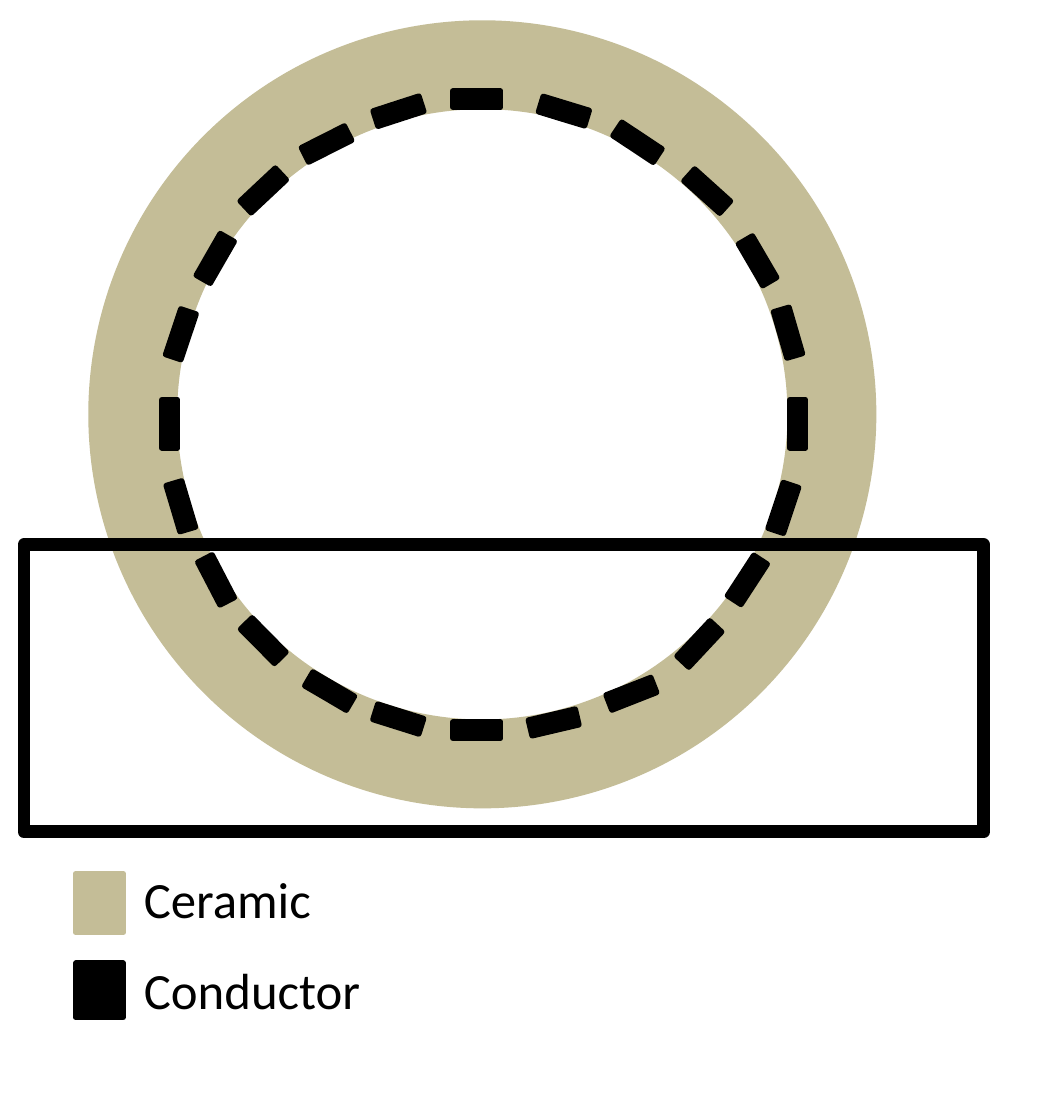
from pptx import Presentation
from pptx.dml.color import RGBColor
from pptx.enum.shapes import MSO_SHAPE as SHAPE
from pptx.enum.text import MSO_AUTO_SIZE as AUTO
from pptx.util import Cm, Pt

CERAMIC = "C4BD97"
CONDUCTOR = "000000"
BAR_W, BAR_H = 0.6, 0.2

# centre x, centre y, rotation
BARS = [
    (5.96, 1.24, 0), (7.05, 1.39, 17), (7.97, 1.78, 33.5),
    (8.84, 2.39, 42), (9.47, 3.26, 59.7), (9.85, 4.16, 73.8),
    (9.97, 5.3, 90), (9.79, 6.35, 108.4), (9.34, 7.25, 123.1),
    (8.74, 8.05, 133), (7.89, 8.67, 158.6), (6.92, 9.03, 166.8),
    (5.96, 9.13, 0), (4.98, 8.99, 17.5), (4.12, 8.64, 30.4),
    (3.29, 8.01, 45.4), (2.7, 7.25, 62.6), (2.26, 6.33, 73.4),
    (2.12, 5.3, 90), (2.26, 4.18, 108.5), (2.69, 3.23, 119.9),
    (3.29, 2.38, 136.8), (4.08, 1.8, 153.2), (4.98, 1.39, 162),
]


def color(value):
    return RGBColor.from_string(value)


def add_outline(s, kind, x, y, w, h, line, width, fill=None):
    sp = s.shapes.add_shape(kind, Cm(x), Cm(y), Cm(w), Cm(h))
    sp.shadow.inherit = False
    if fill:
        sp.fill.solid()
        sp.fill.fore_color.rgb = color(fill)
    else:
        sp.fill.background()
    sp.line.color.rgb = color(line)
    sp.line.width = Pt(width)
    return sp


def add_block(s, x, y, w, h, fill):
    return add_outline(s, SHAPE.RECTANGLE, x, y, w, h, fill, 2, fill)


def add_bar(s, cx, cy, angle):
    sp = add_block(s, cx - BAR_W / 2, cy - BAR_H / 2, BAR_W, BAR_H, CONDUCTOR)
    sp.rotation = angle


def add_text(s, text, x, y, w, h, size=18, font="Calibri", ink="000000"):
    tf = s.shapes.add_textbox(Cm(x), Cm(y), Cm(w), Cm(h)).text_frame
    tf.word_wrap = False
    tf.auto_size = AUTO.SHAPE_TO_FIT_TEXT
    r = tf.paragraphs[0].add_run()
    r.text = text
    r.font.size = Pt(size)
    r.font.name = font
    r.font.color.rgb = color(ink)


def add_legend_entry(s, label, fill, y, h, text_y, text_w):
    add_block(s, 0.95, y, 0.59, h, fill)
    add_text(s, label, 1.55, text_y, text_w, 1.02)


def main():
    prs = Presentation()
    prs.slide_width, prs.slide_height = Cm(13), Cm(14)
    s = prs.slides.add_slide(prs.slide_layouts[6])
    add_outline(s, SHAPE.OVAL, 1.66, 0.81, 8.74, 8.74, CERAMIC, 31.5)
    for cx, cy, angle in BARS:
        add_bar(s, cx, cy, angle)
    add_legend_entry(s, "Ceramic", CERAMIC, 10.92, 0.74, 10.72, 2.62)
    add_legend_entry(s, "Conductor", CONDUCTOR, 12.04, 0.68, 11.86, 3.25)
    add_outline(s, SHAPE.RECTANGLE, 0.3, 6.81, 12, 3.59, "000000", 4.5)
    prs.save("out.pptx")


main()
